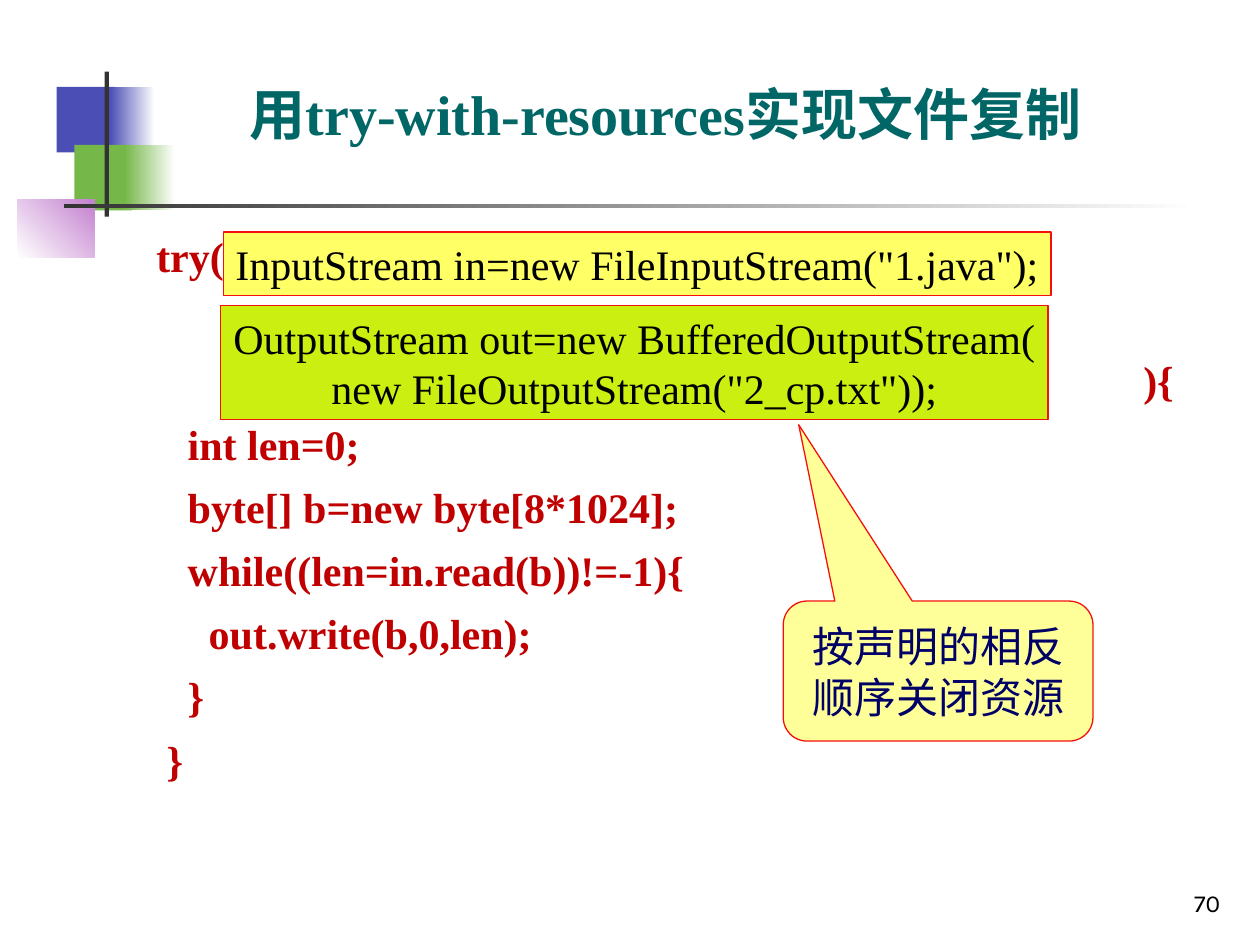
from lxml import etree
from pptx import Presentation
from pptx.dml.color import RGBColor
from pptx.enum import shapes, text
from pptx.oxml.ns import qn
from pptx.util import Pt

COLOURS = {
    "white": "FFFFFF", "black": "000000", "blue": "4B4EB5", "green": "76B749",
    "violet": "C481CF", "dark": "333333", "title": "006666", "code": "C00000",
    "border": "F5110B", "input": "FFFF66", "output": "CAEF11",
    "callout": "FFFF99", "navy": "000066",
}
SERIF = "Times New Roman"
LINE_GAP = 7.3
LINE_PITCH = 34.9
HANGING = 27
CLOSING_INDENT = 564

CODE_LINES = [
    "try(",
    "){",
    "   int len=0;",
    "   byte[] b=new byte[8*1024];",
    "   while((len=in.read(b))!=-1){",
    "     out.write(b,0,len);",
    "   }",
    " }",
]


def colour(name):
    return RGBColor.from_string(COLOURS[name])


def place(shape, left, top, width, height):
    shape.left, shape.top = Pt(left), Pt(top)
    shape.width, shape.height = Pt(width), Pt(height)


def write_text(shape, lines, *, size=24, font=SERIF, color="black", bold=False,
               align=text.PP_ALIGN.CENTER, anchor=text.MSO_ANCHOR.MIDDLE, wrap=True):
    frame = shape.text_frame
    frame.auto_size = text.MSO_AUTO_SIZE.NONE
    frame.word_wrap = wrap
    frame.vertical_anchor = anchor
    frame.text = "\n".join(lines)
    for paragraph in frame.paragraphs:
        paragraph.alignment = align
        for run in paragraph.runs:
            run.font.size = Pt(size)
            run.font.name = font
            run.font.bold = bold
            run.font.color.rgb = colour(color)


def add_block(slide, box, start, end=None, angle=0):
    """Add a borderless rectangle, plain or fading from start to end."""
    block = slide.shapes.add_shape(shapes.MSO_SHAPE.RECTANGLE, *map(Pt, box))
    block.shadow.inherit = False
    block.line.fill.background()
    if end is None:
        block.fill.solid()
        block.fill.fore_color.rgb = colour(start)
    else:
        block.fill.gradient()
        block.fill.gradient_angle = angle
        for stop, name in zip(block.fill.gradient_stops, (start, end)):
            stop.color.rgb = colour(name)


def add_note(slide, kind, box, fill, lines, **text_format):
    note = slide.shapes.add_shape(kind, *map(Pt, box))
    note.shadow.inherit = False
    note.fill.solid()
    note.fill.fore_color.rgb = colour(fill)
    note.line.color.rgb = colour("border")
    note.line.width = Pt(0.75)
    write_text(note, lines, **text_format)
    return note


def add_decoration(slide):
    add_block(slide, (32.4, 49.7, 33.5, 37.4), "blue")
    add_block(slide, (62.6, 49.7, 26, 37.4), "blue", "white")
    add_block(slide, (42.5, 82.8, 33.1, 37.4), "green")
    add_block(slide, (71.3, 82.8, 28.8, 37.4), "green", "white")
    add_block(slide, (10, 113.8, 44, 33.5), "white", "violet", angle=45)
    add_block(slide, (59.8, 41, 2.4, 82.8), "dark")
    add_block(slide, (36.7, 116.6, 648, 2.5), "dark", "white")


def fill_title(slide):
    title = slide.shapes.title
    place(title, 93.6, 20.2, 573.8, 88.6)
    write_text(title, ["用try-with-resources实现文件复制"],
               size=32, color="title", bold=True)


def fill_code(slide):
    body = slide.placeholders[1]
    place(body, 82.1, 128.2, 612, 357)
    write_text(body, CODE_LINES, color="code", bold=True,
               align=text.PP_ALIGN.LEFT, anchor=text.MSO_ANCHOR.TOP)
    for index, paragraph in enumerate(body.text_frame.paragraphs):
        closing = paragraph.text == "){"
        paragraph.space_before = Pt(LINE_GAP if index else 0)
        if closing:
            paragraph.space_before = Pt(LINE_GAP + LINE_PITCH)
        properties = paragraph._p.get_or_add_pPr()
        properties.set("marL", str(Pt(CLOSING_INDENT if closing else HANGING)))
        properties.set("indent", str(Pt(0 if closing else -HANGING)))
        etree.SubElement(properties, qn("a:buNone"))


def add_notes(slide):
    rectangle = shapes.MSO_SHAPE.RECTANGLE
    add_note(slide, rectangle, (127.6, 132.5, 473, 36.2), "input",
             ['InputStream in=new FileInputStream("1.java");'], wrap=False)
    add_note(slide, rectangle, (126, 174.7, 473, 65), "output",
             ["OutputStream out=new BufferedOutputStream(",
              'new FileOutputStream("2_cp.txt"));'], wrap=False)
    callout = add_note(slide, shapes.MSO_SHAPE.ROUNDED_RECTANGULAR_CALLOUT,
                       (447.6, 343.5, 177, 80), "callout",
                       ["按声明的相反顺序关闭资源"], color="navy")
    for index, value in enumerate((-0.45, -1.76, 0.17)):
        callout.adjustments[index] = value


def add_page_number(slide):
    number = slide.shapes.add_textbox(*map(Pt, (554.4, 491.8, 150, 36)))
    write_text(number, ["70"], size=14, font="Karla",
               align=text.PP_ALIGN.RIGHT, anchor=text.MSO_ANCHOR.BOTTOM)


def main():
    presentation = Presentation()
    presentation.slide_width, presentation.slide_height = Pt(720), Pt(540)
    slide = presentation.slides.add_slide(presentation.slide_layouts[1])
    add_decoration(slide)
    fill_title(slide)
    fill_code(slide)
    add_notes(slide)
    add_page_number(slide)
    presentation.save("out.pptx")


if __name__ == "__main__":
    main()
